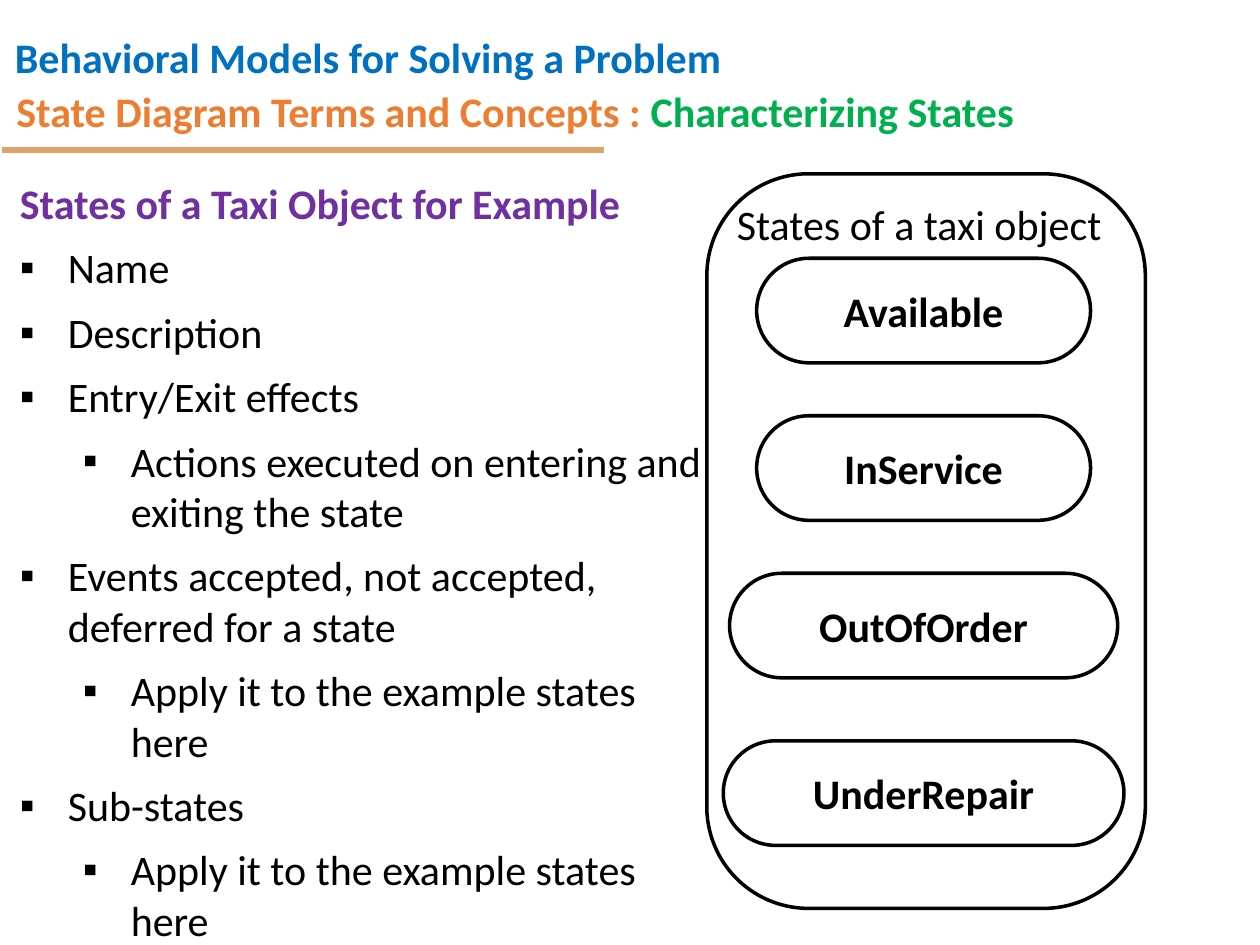
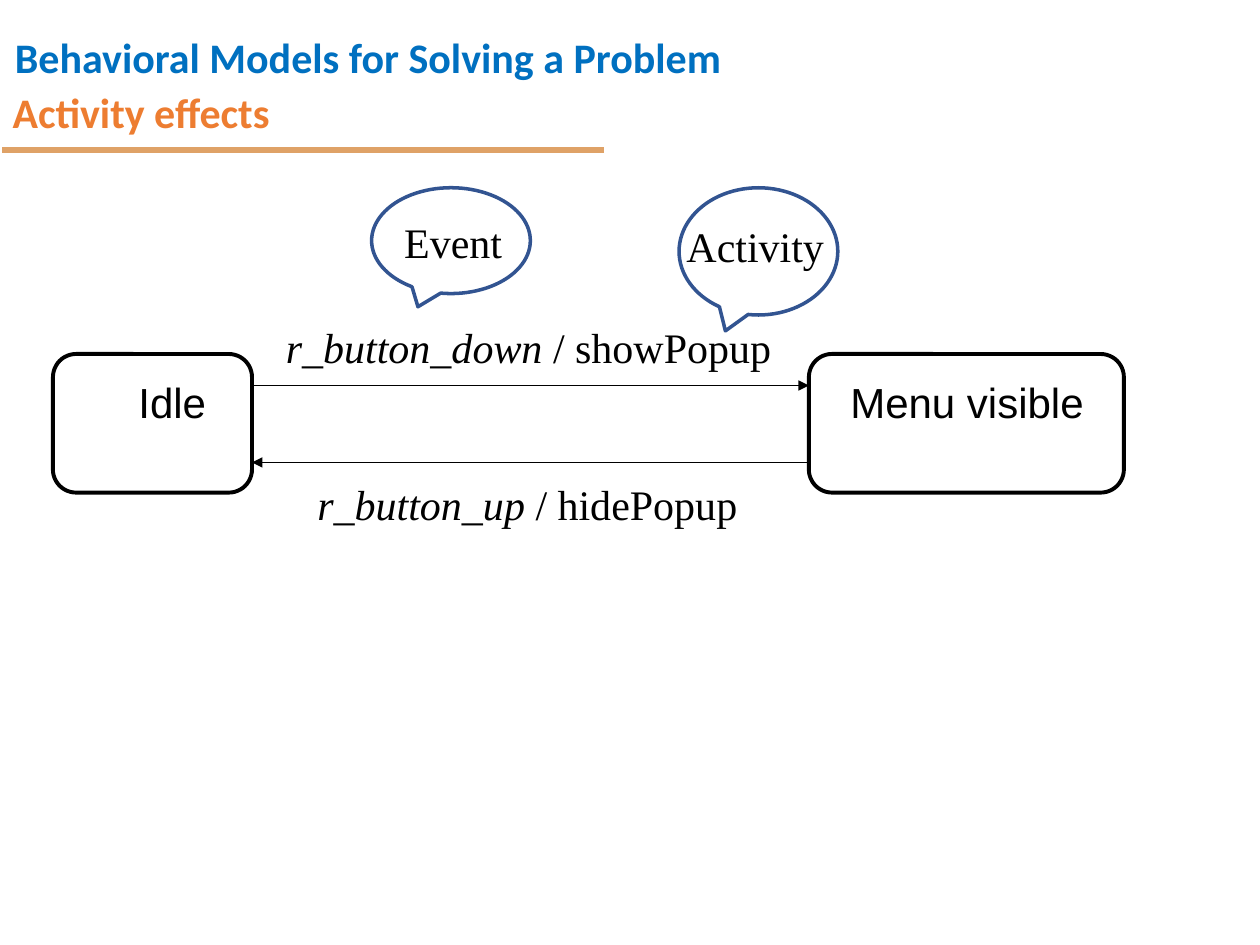
from lxml import etree
from pptx import Presentation
from pptx.dml.color import RGBColor
from pptx.enum import shapes, text
from pptx.oxml.ns import qn
from pptx.util import Inches, Pt

BLUE = RGBColor(0x00, 0x70, 0xC0)
ORANGE = RGBColor(0xED, 0x7D, 0x31)
GREEN = RGBColor(0x00, 0xB0, 0x50)
PURPLE = RGBColor(0x70, 0x30, 0xA0)
SAND = RGBColor(0xDF, 0xA2, 0x67)
NAVY = RGBColor(0x32, 0x54, 0x91)
BLACK = RGBColor(0, 0, 0)
SANS, ARIAL, SERIF = "Calibri", "Arial", "Times New Roman"

COURSE = "Behavioral Models for Solving a Problem"
STATES_TITLE = [("State Diagram Terms and Concepts : ", ORANGE), ("Characterizing States", GREEN)]
ACTIVITY_TITLE = [("Activity effects", ORANGE)]
EXAMPLE_HEADING = "States of a Taxi Object for Example"
CHARACTERISTICS = [
    (0, "Name"),
    (0, "Description"),
    (0, "Entry/Exit effects"),
    (1, "Actions executed on entering and exiting the state"),
    (0, "Events accepted, not accepted, deferred for a state"),
    (1, "Apply it to the example states here"),
    (0, "Sub-states"),
    (1, "Apply it to the example states here"),
]
TAXI_CAPTION = "States of a taxi object"
TAXI_CENTRE = 7.33
TAXI_STATES = [
    ("Available", 2.05, 2.65),
    ("InService", 3.3, 2.65),
    ("OutOfOrder", 4.55, 3.08),
    ("UnderRepair", 5.88, 3.18),
]
MENU_STATES = [
    ("Idle", (0.42, 2.81, 1.58, 1.1), (1, 2.94, 0.78, 0.73)),
    ("Menu visible", (6.42, 2.81, 2.5, 1.1), (6.65, 2.94, 2.2, 0.73)),
]
TRANSITIONS = [
    ("r_button_down ", "/ showPopup", 2, 6.42, 3.06, (2.17, 2.5, 4.05, 0.5)),
    ("r_button_up ", "/ hidePopup", 6.42, 2, 3.67, (2.42, 3.75, 3.58, 0.5)),
]
CALLOUTS = [
    ("Activity", (5.39, 1.49, 1.26, 1.01), (5.35, 1.7, 1.3, 0.5)),
    ("Event", (2.95, 1.49, 1.26, 0.84), (3.11, 1.67, 0.99, 0.5)),
]


def inches(box):
    return [Inches(value) for value in box]


def add_run(paragraph, words, color=BLACK, name=SANS, bold=False, italic=False):
    run = paragraph.add_run()
    run.text = words
    run.font.size = Pt(24)
    run.font.name = name
    run.font.color.rgb = color
    run.font.bold = bold
    run.font.italic = italic


def add_label(slide, box, wrap=True):
    frame = slide.shapes.add_textbox(*inches(box)).text_frame
    frame.word_wrap = wrap
    return frame.paragraphs[0]


def add_outline(slide, kind, box, color=BLACK, width=2, corner=None):
    outline = slide.shapes.add_shape(kind, *inches(box))
    outline.shadow.inherit = False
    outline.fill.background()
    outline.line.color.rgb = color
    outline.line.width = Pt(width)
    if corner is not None:
        outline.adjustments[0] = corner
    return outline


def add_line(slide, start, end, y, color, width, arrow=False):
    line = slide.shapes.add_connector(
        shapes.MSO_CONNECTOR.STRAIGHT, *inches((start, y, end, y)))
    line.line.color.rgb = color
    line.line.width = Pt(width)
    if arrow:
        etree.SubElement(line.line._get_or_add_ln(), qn("a:tailEnd"), type="triangle")
    etree.SubElement(line._element.spPr, qn("a:effectLst"))


def add_bullet(paragraph, level):
    properties = paragraph._p.get_or_add_pPr()
    properties.set("marL", str(Inches(0.38 + 0.5 * level)))
    properties.set("indent", str(-Inches(0.38)))
    color = etree.SubElement(properties, qn("a:buClr"))
    etree.SubElement(color, qn("a:srgbClr"), val=str(BLACK))
    etree.SubElement(properties, qn("a:buFont"), typeface=ARIAL)
    etree.SubElement(properties, qn("a:buChar"), char="▪")
    paragraph.level = level


def add_titled_slide(deck, title_runs, box):
    slide = deck.slides.add_slide(deck.slide_layouts[5])
    course = add_label(slide, (0.02, 0, 7.4, 0.71))
    course.line_spacing = 1.5
    add_run(course, COURSE, BLUE, bold=True)
    add_line(slide, 0.02, 4.79, 1.19, SAND, 3)
    title = slide.shapes.title
    title.left, title.top, title.width, title.height = inches(box)
    frame = title.text_frame
    frame.auto_size = text.MSO_AUTO_SIZE.NONE
    frame.vertical_anchor = text.MSO_ANCHOR.MIDDLE
    heading = frame.paragraphs[0]
    heading.alignment = text.PP_ALIGN.LEFT
    heading.line_spacing = 0.9
    for words, color in title_runs:
        add_run(heading, words, color, bold=True)
    return slide


def build_states(deck):
    slide = add_titled_slide(deck, STATES_TITLE, (0.03, 0.56, 9.06, 0.69))
    heading = add_label(slide, (0.06, 1.36, 5.77, 6.12))
    heading.space_after = Pt(4)
    add_run(heading, EXAMPLE_HEADING, PURPLE, bold=True)
    body = slide.shapes[-1].text_frame
    for level, words in CHARACTERISTICS:
        item = body.add_paragraph()
        add_bullet(item, level)
        item.space_before = item.space_after = Pt(4)
        add_run(item, words)

    rounded = shapes.MSO_SHAPE.ROUNDED_RECTANGLE
    add_outline(slide, rounded, (5.61, 1.38, 3.48, 5.83), corner=0.232)
    for name, top, width in TAXI_STATES:
        box = (TAXI_CENTRE - width / 2, top, width, 0.83)
        state = add_outline(slide, rounded, box, corner=0.5)
        state.text_frame.vertical_anchor = text.MSO_ANCHOR.MIDDLE
        label = state.text_frame.paragraphs[0]
        label.alignment = text.PP_ALIGN.CENTER
        add_run(label, name, bold=True)
    add_run(add_label(slide, (5.75, 1.53, 3.74, 0.5)), TAXI_CAPTION)


def build_activity(deck):
    slide = add_titled_slide(deck, ACTIVITY_TITLE, (0, 0.58, 8.62, 0.67))
    for name, box, label_box in MENU_STATES:
        add_outline(slide, shapes.MSO_SHAPE.ROUNDED_RECTANGLE, box, width=2.25, corner=0.167)
        add_run(add_label(slide, label_box, wrap=False), name, name=ARIAL)
    for event, activity, start, end, y, label_box in TRANSITIONS:
        add_line(slide, start, end, y, BLACK, 0.75, arrow=True)
        label = add_label(slide, label_box)
        add_run(label, event, name=SERIF, italic=True)
        add_run(label, activity, name=SERIF)
    for term, box, label_box in CALLOUTS:
        add_outline(slide, shapes.MSO_SHAPE.OVAL_CALLOUT, box, NAVY)
        add_run(add_label(slide, label_box, wrap=False), term, name=SERIF)


def main():
    deck = Presentation()
    deck.slide_width, deck.slide_height = Inches(10), Inches(7.5)
    build_states(deck)
    build_activity(deck)
    deck.save("out.pptx")


if __name__ == "__main__":
    main()
